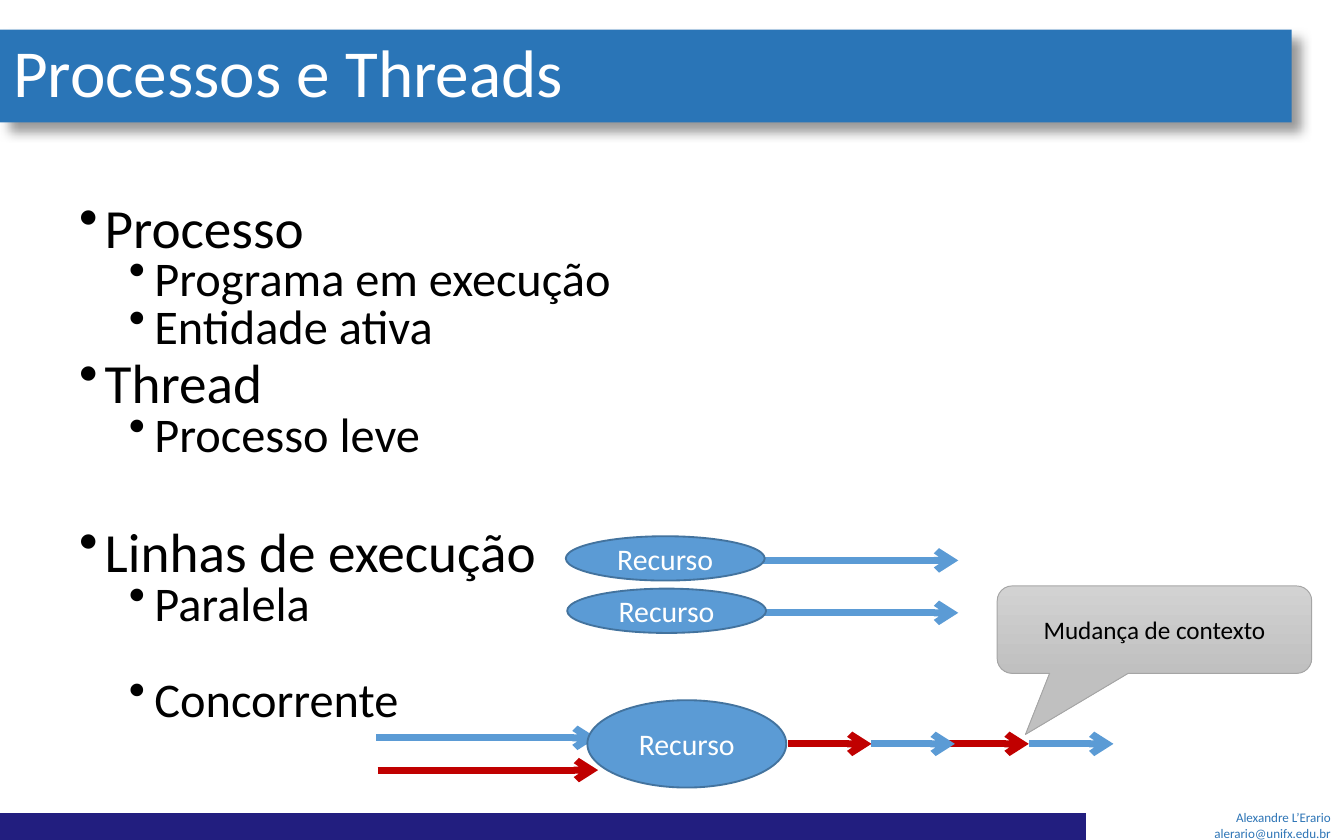
"""Builds the slide on processes and threads."""
import pptx
import pptx.dml.color
import pptx.enum.shapes
import pptx.enum.text
import pptx.oxml
import pptx.util
import lxml.etree


def color(value):
    return pptx.dml.color.RGBColor.from_string(value)


def add_box(kind, left, top, width, height, fill, line, lines, size, ink, align):
    shape = slide.shapes.add_shape(
        kind, *(int(share * cell) for share in (left, top, width, height)))
    shape.shadow.inherit = False
    if fill:
        shape.fill.solid()
        shape.fill.fore_color.rgb = color(fill)
    else:
        shape.fill.background()
    if line:
        shape.line.color.rgb = color(line)
        shape.line.width = pptx.util.Pt(1)
    else:
        shape.line.fill.background()
    frame = shape.text_frame
    frame.word_wrap = True
    frame.vertical_anchor = pptx.enum.text.MSO_ANCHOR.MIDDLE
    frame.text = "\n".join(lines)
    for paragraph in frame.paragraphs:
        paragraph.alignment = align
        format_values = {"size": pptx.util.Pt(size), "name": "Calibri"}
        for name, value in format_values.items():
            setattr(paragraph.font, name, value)
        paragraph.font.color.rgb = color(ink)
    return shape


presentation = pptx.Presentation()
presentation.slide_width = pptx.util.Inches(10)
presentation.slide_height = pptx.util.Inches(6.25)
cell = presentation.slide_width / 100
slide = presentation.slides.add_slide(presentation.slide_layouts[6])
kinds = pptx.enum.shapes.MSO_SHAPE
aligns = pptx.enum.text.PP_ALIGN
namespace = "http://schemas.openxmlformats.org/drawingml/2006/main"
blue, red, white, black = "5B9BD5", "C00000", "FFFFFF", "000000"

add_box(kinds.RECTANGLE, 0, 60.5, 80.8, 2.1, "221E7F", None, [], 7, white, aligns.LEFT)
credit = add_box(kinds.RECTANGLE, 87.8, 60.3, 12.2, 2.2, None, None,
                 ["Alexandre L’Erario", "alerario@unifx.edu.br"], 7, "2E75B6", aligns.RIGHT)
credit.text_frame.word_wrap = False

title = add_box(kinds.RECTANGLE, 0, 2.2, 96.1, 6.9, "2A75B7", None,
                ["Processos e Threads"], 36, white, aligns.LEFT)
title.text_frame.paragraphs[0].line_spacing = 0.9
effects = title._element.spPr.find(f"{{{namespace}}}effectLst")
effects.append(pptx.oxml.parse_xml(
    f'<a:outerShdw xmlns:a="{namespace}" blurRad="{pptx.util.Pt(6)}" dist="{pptx.util.Pt(7)}" '
    f'dir="2700000" algn="tl" rotWithShape="0"><a:srgbClr val="{black}">'
    '<a:alpha val="40000"/></a:srgbClr></a:outerShdw>'))

body = slide.shapes.add_textbox(
    *(int(share * cell) for share in (4.9, 15.2, 86.8, 39.7))).text_frame
body.word_wrap = True
level_styles = [{"size": 29.6, "margin": 1.9}, {"size": 25.9, "margin": 5.6}]
topics = [
    (0, 7.5, "Processo"),
    (1, 3.8, "Programa em execução"),
    (1, 3.8, "Entidade ativa"),
    (0, 7.5, "Thread"),
    (1, 3.8, "Processo leve"),
    (0, 40, "Linhas de execução"),
    (1, 3.8, "Paralela"),
    (1, 29.5, "Concorrente"),
]
body.text = "\n".join(text for level, gap, text in topics)
for paragraph, (level, gap, text) in zip(body.paragraphs, topics):
    style = level_styles[level]
    format_values = {"level": level, "line_spacing": 0.7, "space_before": pptx.util.Pt(gap)}
    for name, value in format_values.items():
        setattr(paragraph, name, value)
    font_values = {"size": pptx.util.Pt(style["size"]), "name": "Calibri"}
    for name, value in font_values.items():
        setattr(paragraph.font, name, value)
    paragraph.font.color.rgb = color(black)
    properties = paragraph._p.get_or_add_pPr()
    properties.set("marL", str(int(style["margin"] * cell)))
    properties.set("indent", str(int(-1.9 * cell)))
    bullet = lxml.etree.Element(f"{{{namespace}}}buChar", char="•")
    properties.find(f"{{{namespace}}}defRPr").addprevious(bullet)

arrows = [(49.4, 41.7, 21.9, blue), (49.4, 45.6, 21.9, blue),
          (28, 54.9, 16.4, blue), (28.1, 57.3, 16.4, red)]
arrows += [(left, 55.35, 6.25, ink) for ink, starts in ((red, (58.6, 70.3)), (blue, (64.8, 76.6)))
           for left in starts]
for left, top, length, ink in arrows:
    arrow = slide.shapes.add_connector(
        pptx.enum.shapes.MSO_CONNECTOR.STRAIGHT,
        *(int(share * cell) for share in (left, top, left + length, top)))
    arrow.line.color.rgb = color(ink)
    arrow.line.width = pptx.util.Pt(3.75)
    lxml.etree.SubElement(arrow.line._get_or_add_ln(), f"{{{namespace}}}tailEnd", type="arrow")
    lxml.etree.SubElement(arrow._element.spPr, f"{{{namespace}}}effectLst")

for left, top, height in ((42.1, 39.9, 3.3), (42.2, 43.8, 3.3), (43.7, 52.1, 6.5)):
    resource = add_box(kinds.OVAL, left, top, 14.8, height, blue, "43739E",
                       ["Recurso"], 16, white, aligns.CENTER)

callout = add_box(kinds.ROUNDED_RECTANGULAR_CALLOUT, 74.2, 43.6, 23.4, 6.5, "C8C8C8", "A5A5A5",
                  ["Mudança de contexto"], 13.5, black, aligns.CENTER)
callout.line.width = pptx.util.Pt(0.5)
for index, adjustment in enumerate((-0.41, 1.2, 0.17)):
    callout.adjustments[index] = adjustment
callout.fill.gradient()
callout.fill.gradient_angle = 270
for stop, shade in zip(callout.fill.gradient_stops, ("D2D2D2", "C0C0C0")):
    stop.color.rgb = color(shade)

presentation.save("out.pptx")
